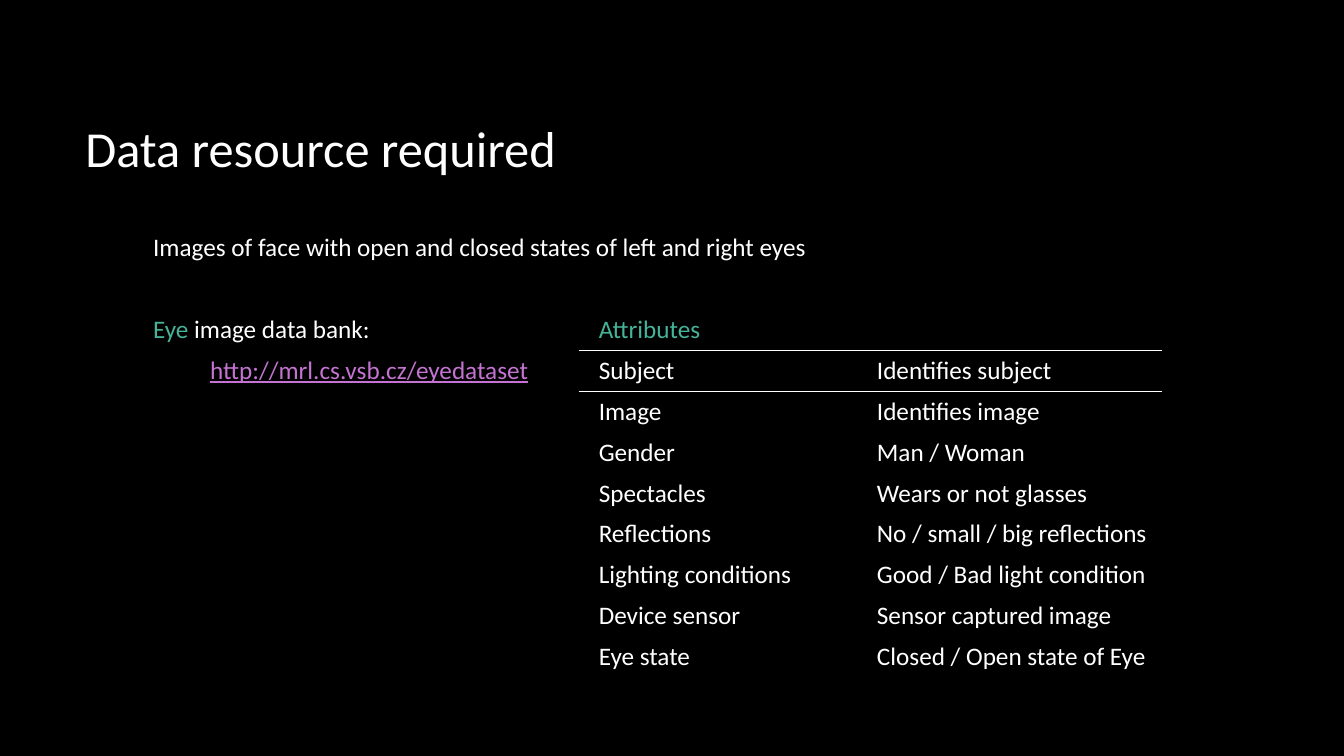
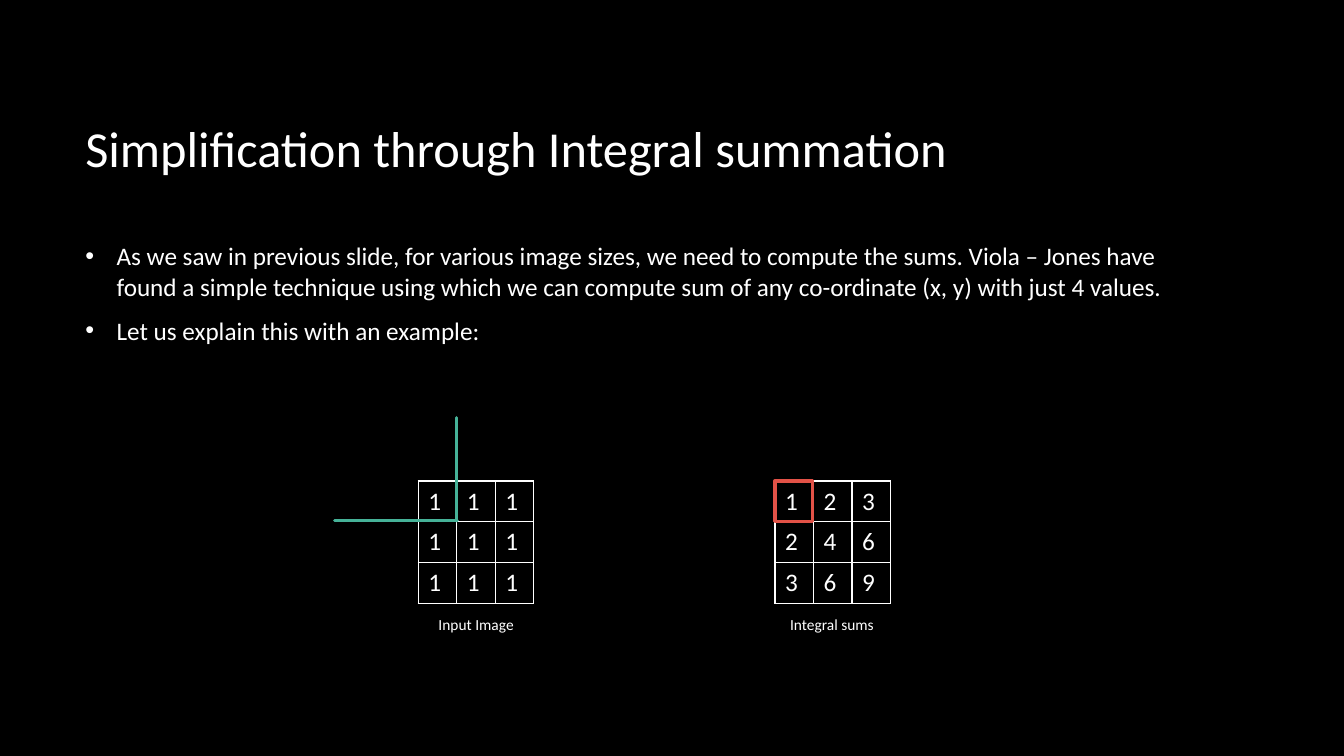
from dataclasses import dataclass

from lxml import etree
from pptx import Presentation
from pptx.dml.color import RGBColor
from pptx.enum.shapes import MSO_CONNECTOR, MSO_SHAPE
from pptx.enum.text import MSO_ANCHOR, PP_ALIGN
from pptx.oxml.ns import qn
from pptx.util import Cm, Pt

BLACK = RGBColor(0x00, 0x00, 0x00)
WHITE = RGBColor(0xFF, 0xFF, 0xFF)
TEAL = RGBColor(0x46, 0xB2, 0x98)
RED = RGBColor(0xE2, 0x52, 0x47)
VIOLET = RGBColor(0xC5, 0x73, 0xD2)

FONT = "Calibri"
LEFT, RIGHT = PP_ALIGN.LEFT, PP_ALIGN.RIGHT
TOP, MIDDLE = MSO_ANCHOR.TOP, MSO_ANCHOR.MIDDLE
STRAIGHT, RECTANGLE = MSO_CONNECTOR.STRAIGHT, MSO_SHAPE.RECTANGLE
NO_STYLE = "{2D5ABB26-0587-4C30-8999-92F81FD0307C}"

MARGIN, CONTENT_W = 1.9, 28.14
ROW_H = 1.03
GRID_TOP, GRID_COL_W = 12.12, 0.97
BULLET_INDENT = 0.79

ATTRIBUTES = [
    ("Subject", "Identifies subject"),
    ("Image", "Identifies image"),
    ("Gender", "Man / Woman"),
    ("Spectacles", "Wears or not glasses"),
    ("Reflections", "No / small / big reflections"),
    ("Lighting conditions", "Good / Bad light condition"),
    ("Device sensor", "Sensor captured image"),
    ("Eye state", "Closed / Open state of Eye"),
]
POINTS = [
    "As we saw in previous slide, for various image sizes, we need to compute "
    "the sums. Viola – Jones have found a simple technique using which we can "
    "compute sum of any co-ordinate (x, y) with just 4 values.",
    "Let us explain this with an example:",
]


@dataclass(frozen=True)
class Column:
    width: float
    inset_left: float
    inset_right: float


@dataclass(frozen=True)
class NumberGrid:
    left: float
    rows: tuple
    caption: str
    caption_left: float
    caption_width: float


ATTRIBUTE_COLUMNS = [
    Column(10.97, 0.25, 1.27), Column(6.25, 0.51, 0.25), Column(8.46, 1.27, 0.25),
]
GRIDS = [
    NumberGrid(10.54, ((1, 1, 1),) * 3, "Input Image", 10.8, 2.41),
    NumberGrid(19.53, ((1, 2, 3), (2, 4, 6), (3, 6, 9)), "Integral sums", 19.66, 2.64),
]


# Text
def add_run(p, text: str, *, size=18, color=WHITE, underline=False, align=None) -> None:
    r = p.add_run()
    r.text = text
    r.font.name, r.font.size = FONT, Pt(size)
    r.font.color.rgb = color
    if underline:
        r.font.underline = True
    if align is not None:
        p.alignment = align


def add_box(s, left: float, top: float, width: float, height: float, *,
            anchor=TOP, wrap=True):
    tf = s.shapes.add_textbox(Cm(left), Cm(top), Cm(width), Cm(height)).text_frame
    tf.word_wrap, tf.vertical_anchor = wrap, anchor
    return tf


def add_bullet(p) -> None:
    pPr = p._p.get_or_add_pPr()
    pPr.set("marL", str(Cm(BULLET_INDENT)))
    pPr.set("indent", str(-Cm(BULLET_INDENT)))
    color = etree.SubElement(pPr, qn("a:buClr"))
    etree.SubElement(color, qn("a:srgbClr"), val=str(WHITE))
    etree.SubElement(pPr, qn("a:buFont"), typeface="Arial")
    etree.SubElement(pPr, qn("a:buChar"), char="•")


# Tables
def add_plain_table(s, left: float, top: float, rows: int, widths: list):
    frame = s.shapes.add_table(rows, len(widths), Cm(left), Cm(top),
                               Cm(sum(widths)), Cm(rows * ROW_H))
    table = frame.table
    table.first_row = table.horz_banding = False
    table._tbl.tblPr.find(qn("a:tableStyleId")).text = NO_STYLE
    for column, width in zip(table.columns, widths):
        column.width = Cm(width)
    for row in table.rows:
        row.height = Cm(ROW_H)
    return table


def format_cell(cell, *, sides="") -> None:
    """Clear the fill and draw white borders on the given sides (L, R, T, B)."""
    tcPr = cell._tc.get_or_add_tcPr()
    for side in "LRTB":
        ln = etree.SubElement(tcPr, qn(f"a:ln{side}"), w=str(Pt(1)))
        if side in sides:
            fill = etree.SubElement(ln, qn("a:solidFill"))
            etree.SubElement(fill, qn("a:srgbClr"), val=str(WHITE))
        else:
            etree.SubElement(ln, qn("a:noFill"))
    cell.fill.background()


def add_number_grid(s, grid: NumberGrid) -> None:
    table = add_plain_table(s, grid.left, GRID_TOP, len(grid.rows),
                            [GRID_COL_W] * len(grid.rows[0]))
    for i, row in enumerate(grid.rows):
        for j, value in enumerate(row):
            cell = table.cell(i, j)
            format_cell(cell, sides="LRTB")
            add_run(cell.text_frame.paragraphs[0], str(value))
    tf = add_box(s, grid.caption_left, 15.37, grid.caption_width, 0.74, wrap=False)
    add_run(tf.paragraphs[0], grid.caption, size=11)


# Lines
def add_line(s, x1: float, y1: float, x2: float, y2: float) -> None:
    line = s.shapes.add_connector(STRAIGHT, Cm(x1), Cm(y1), Cm(x2), Cm(y2))
    line.line.color.rgb, line.line.width = TEAL, Pt(2)
    line.line._get_or_add_ln().set("cap", "rnd")
    etree.SubElement(line._element.spPr, qn("a:effectLst"))


# Slides
def new_slide(prs, title: str):
    s = prs.slides.add_slide(prs.slide_layouts[6])
    tf = add_box(s, MARGIN, 1.7, CONTENT_W, 4.04, anchor=MIDDLE)
    add_run(tf.paragraphs[0], title, size=36)
    return s


def build_data_slide(prs) -> None:
    s = new_slide(prs, "Data resource required")
    first = 3  # row of the first attribute
    table = add_plain_table(s, 3.61, 5.74, first + len(ATTRIBUTES),
                            [c.width for c in ATTRIBUTE_COLUMNS])
    borders = {first - 1: "B", first: "TB", first + 1: "T"}
    for i in range(len(table.rows)):
        for j, column in enumerate(ATTRIBUTE_COLUMNS):
            cell = table.cell(i, j)
            cell.margin_left = Cm(column.inset_left)
            cell.margin_right = Cm(column.inset_right)
            format_cell(cell, sides=borders.get(i, "") if j else "")

    def paragraph(row: int, col: int):
        return table.cell(row, col).text_frame.paragraphs[0]

    table.cell(0, 0).merge(table.cell(0, 2))
    add_run(paragraph(0, 0),
            "Images of face with open and closed states of left and right eyes")
    add_run(paragraph(2, 0), "Eye ", color=TEAL)
    add_run(paragraph(2, 0), "image data bank:")
    add_run(paragraph(2, 1), "Attributes", color=TEAL)
    add_run(paragraph(3, 0), "http://mrl.cs.vsb.cz/eyedataset",
            color=VIOLET, underline=True, align=RIGHT)
    for i, texts in enumerate(ATTRIBUTES, first):
        for j, text in enumerate(texts, 1):
            add_run(paragraph(i, j), text, align=LEFT)


def build_integral_slide(prs) -> None:
    s = new_slide(prs, "Simplification through Integral summation")
    tf = add_box(s, MARGIN, 5.94, CONTENT_W, 10.13)
    for i, text in enumerate(POINTS):
        p = tf.add_paragraph() if i else tf.paragraphs[0]
        add_bullet(p)
        p.space_after = Pt(10)
        add_run(p, text)
    for grid in GRIDS:
        add_number_grid(s, grid)

    # Corner marking the summed area
    add_line(s, 11.51, 10.52, 11.51, 13.13)
    add_line(s, 11.53, 13.11, 8.43, 13.11)

    # Frame around the resulting sum
    sp = s.shapes.add_shape(RECTANGLE, Cm(GRIDS[1].left), Cm(GRID_TOP),
                            Cm(0.94), Cm(1.02))
    sp.shadow.inherit = False
    sp.fill.background()
    sp.line.color.rgb, sp.line.width = RED, Pt(2.25)


def main() -> None:
    prs = Presentation()
    prs.slide_width, prs.slide_height = Cm(33.87), Cm(19.05)
    background = prs.slide_master.background.fill
    background.solid()
    background.fore_color.rgb = BLACK
    build_data_slide(prs)
    build_integral_slide(prs)
    prs.save("out.pptx")


if __name__ == "__main__":
    main()
